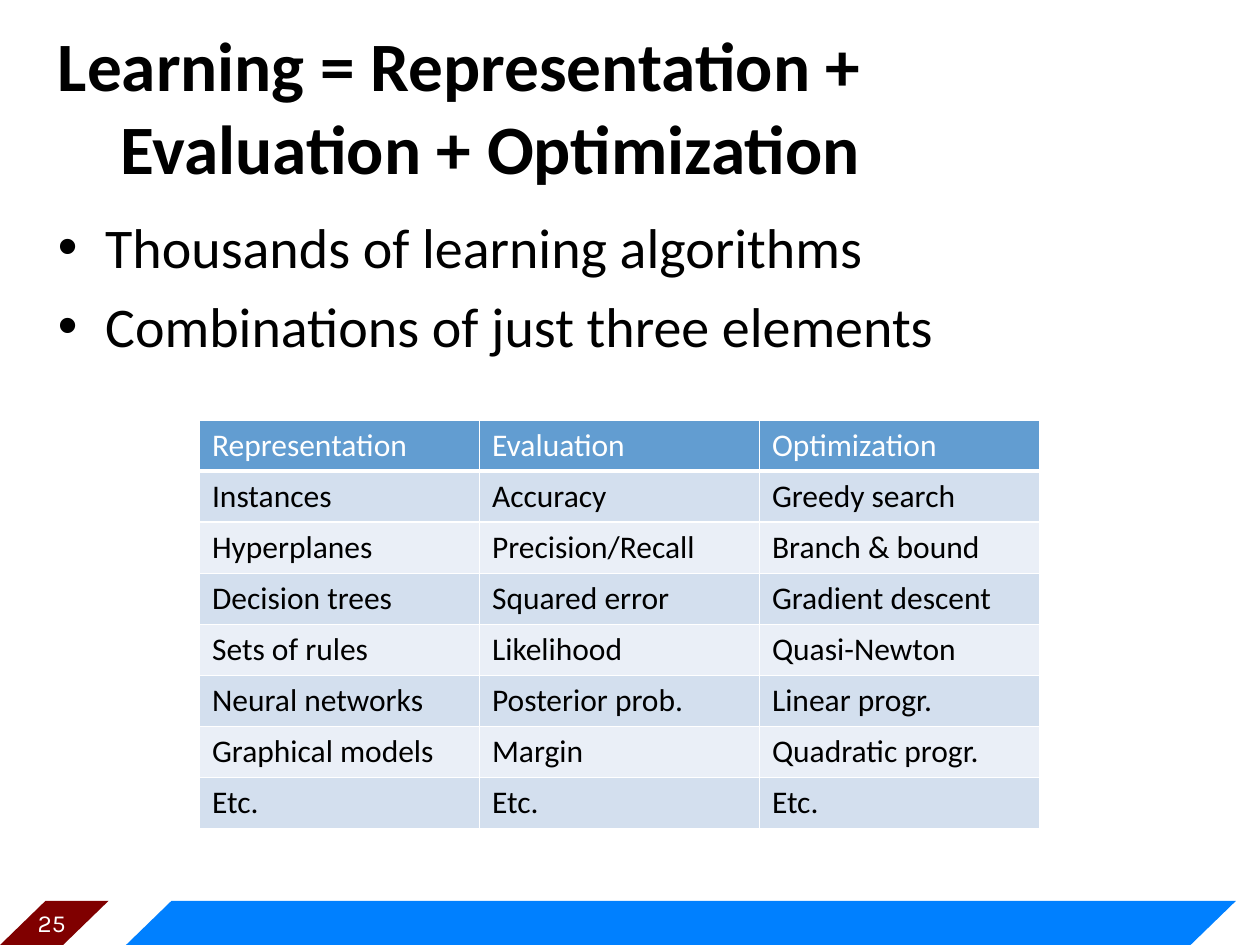
from lxml import etree
from pptx import Presentation
from pptx.dml.color import RGBColor
from pptx.enum.shapes import MSO_SHAPE
from pptx.enum.text import MSO_ANCHOR, PP_ALIGN
from pptx.oxml.ns import qn
from pptx.util import Pt

PARALLELOGRAM = MSO_SHAPE.PARALLELOGRAM
MIDDLE = MSO_ANCHOR.MIDDLE
CENTER = PP_ALIGN.CENTER

FONT = "Calibri"
BLACK, WHITE = "000000", "FFFFFF"
BLUE, MAROON = "0080FF", "800000"
HEADER_FILL, BAND_FILLS = "629DD1", ("D3DFEE", "EAEFF7")

ELEMENTS = [
    ("Representation", "Evaluation", "Optimization"),
    ("Instances", "Accuracy", "Greedy search"),
    ("Hyperplanes", "Precision/Recall", "Branch & bound"),
    ("Decision trees", "Squared error", "Gradient descent"),
    ("Sets of rules", "Likelihood", "Quasi-Newton"),
    ("Neural networks", "Posterior prob.", "Linear progr."),
    ("Graphical models", "Margin", "Quadratic progr."),
    ("Etc.", "Etc.", "Etc."),
]


def color(hex_string):
    return RGBColor.from_string(hex_string)


def format_runs(paragraph, size, hex_string, font=FONT, bold=False):
    for run in paragraph.runs:
        run.font.name = font
        run.font.size = Pt(size)
        run.font.bold = bold
        run.font.color.rgb = color(hex_string)


def hang_indent(paragraph, points):
    properties = paragraph._p.get_or_add_pPr()
    properties.set("marL", str(Pt(points)))
    properties.set("indent", str(-Pt(points)))
    return properties


def add_text(slide, box, text):
    shape = slide.shapes.add_textbox(*map(Pt, box))
    shape.text_frame.word_wrap = True
    shape.text_frame.text = text
    return shape.text_frame


def add_band(slide, box, fill):
    shape = slide.shapes.add_shape(PARALLELOGRAM, *map(Pt, box))
    shape.shadow.inherit = False
    shape.adjustments[0] = 1.03
    shape.fill.solid()
    shape.fill.fore_color.rgb = color(fill)
    shape.line.fill.background()


def add_footer(slide, box, number):
    left, top, width, height = box
    number_width, bar_offset = 63.4, 72
    add_band(slide, (left + bar_offset, top, width - bar_offset, height), BLUE)
    add_band(slide, (left, top, number_width, height), MAROON)
    frame = add_text(slide, (left + 10, top, 42, 24.5), number)
    frame.vertical_anchor = MIDDLE
    frame.paragraphs[0].alignment = CENTER
    format_runs(frame.paragraphs[0], 14, WHITE, "Karla")


def add_title(slide, box, text):
    frame = add_text(slide, box, text)
    frame.vertical_anchor = MIDDLE
    # The second line hangs in from the first
    hang_indent(frame.paragraphs[0], 36)
    format_runs(frame.paragraphs[0], 39.6, BLACK, bold=True)


def add_bullets(slide, box, lines):
    frame = add_text(slide, box, "\n".join(lines))
    for paragraph in frame.paragraphs:
        paragraph.space_before = Pt(6.4)
        properties = hang_indent(paragraph, 27)
        etree.SubElement(properties, qn("a:buFont"), typeface="Arial")
        etree.SubElement(properties, qn("a:buChar"), char="•")
        format_runs(paragraph, 32, BLACK)


def set_borders(cell, bottom_width):
    # Border lines come before the fill in the cell properties
    properties = cell._tc.get_or_add_tcPr()
    widths = {"lnL": 1, "lnR": 1, "lnT": 1, "lnB": bottom_width}
    for position, (side, width) in enumerate(widths.items()):
        line = etree.Element(qn(f"a:{side}"), w=str(Pt(width)))
        fill = etree.SubElement(line, qn("a:solidFill"))
        etree.SubElement(fill, qn("a:srgbClr"), val=WHITE)
        properties.insert(position, line)


def add_element_table(slide, box, rows):
    shape = slide.shapes.add_table(len(rows), len(rows[0]), *map(Pt, box))
    table = shape.table
    for row in table.rows:
        row.height = Pt(box[3] / len(rows))
    for row_index, row in enumerate(rows):
        is_header = row_index == 0
        fill = HEADER_FILL if is_header else BAND_FILLS[(row_index - 1) % 2]
        for column_index, text in enumerate(row):
            cell = table.cell(row_index, column_index)
            cell.text_frame.text = text
            format_runs(cell.text_frame.paragraphs[0], 18,
                        WHITE if is_header else BLACK)
            cell.fill.solid()
            cell.fill.fore_color.rgb = color(fill)
            set_borders(cell, 3 if is_header else 1)


def main():
    presentation = Presentation()
    presentation.slide_width, presentation.slide_height = Pt(720), Pt(540)
    slide = presentation.slides.add_slide(presentation.slide_layouts[6])

    add_footer(slide, (-1.4, 514.8, 707.7, 26.6), "25")
    add_title(slide, (26, 32.4, 674.6, 55.4),
              "Learning = Representation +\vEvaluation + Optimization")
    add_bullets(slide, (26, 118, 672, 371),
                ["Thousands of learning algorithms",
                 "Combinations of just three elements"])
    add_element_table(slide, (114, 240, 480, 233.6), ELEMENTS)

    presentation.save("out.pptx")


if __name__ == "__main__":
    main()
